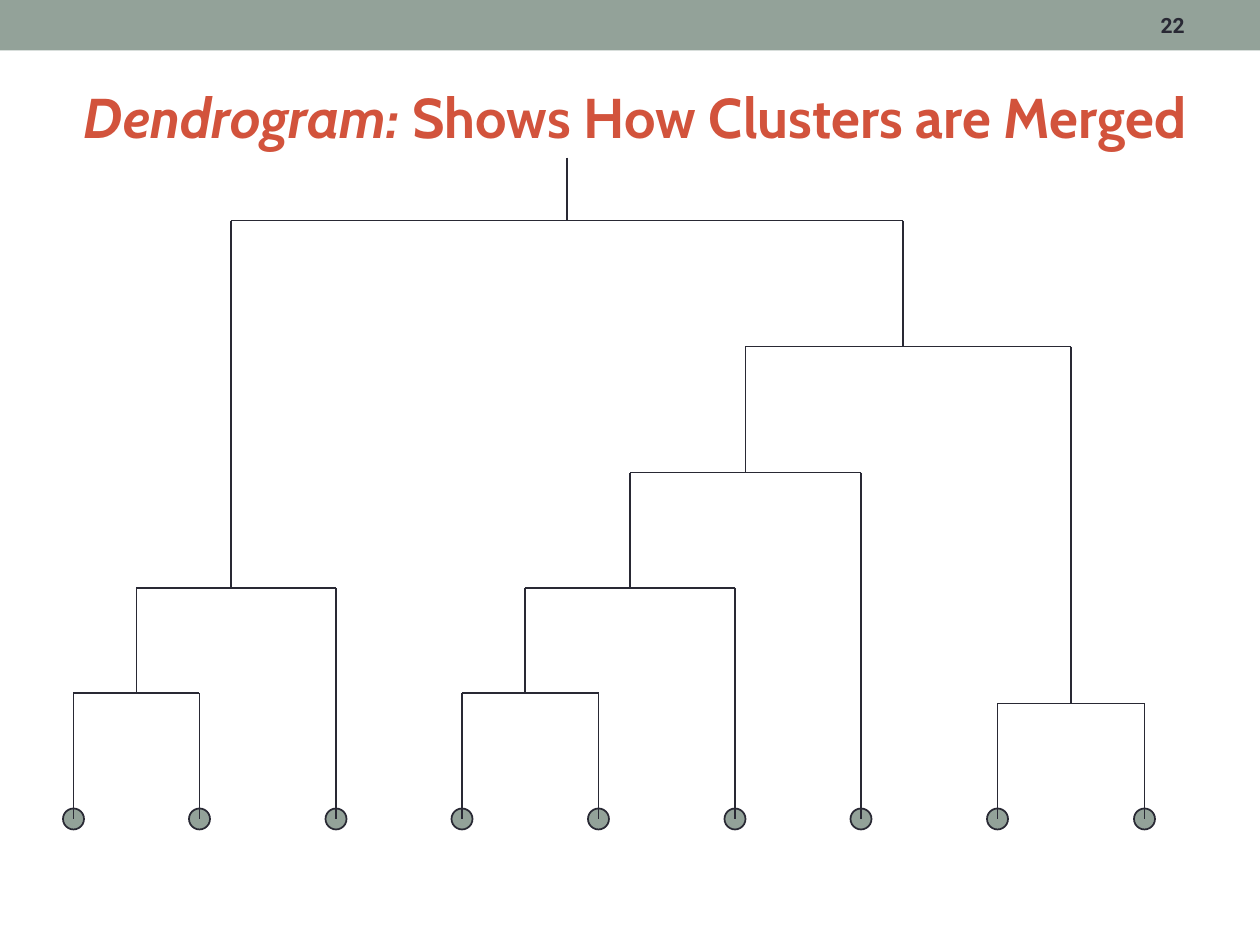
import pptx
import pptx.util
import pptx.dml.color
import pptx.enum.shapes
import pptx.enum.text
import pptx.oxml.ns
import lxml.etree

PX = 7620  # EMU per px, 120 px to the inch
SAGE, INK, RUST = "93A299", "292934", "D2533C"
SHAPES = pptx.enum.shapes.MSO_SHAPE
ALIGN = pptx.enum.text.PP_ALIGN
ANCHOR = pptx.enum.text.MSO_ANCHOR

# Leaf positions along the baseline, relative to the dendrogram's box
LEAVES = [10, 130, 260, 380, 510, 640, 760, 890, 1030]
BASELINE = 630
# Each merge: height of its bar, then the x and lower end of both branches
MERGES = [
    (510, (10, BASELINE), (130, BASELINE)),
    (410, (70, 510), (260, BASELINE)),
    (510, (380, BASELINE), (510, BASELINE)),
    (410, (440, 510), (640, BASELINE)),
    (300, (540, 410), (760, BASELINE)),
    (520, (890, BASELINE), (1030, BASELINE)),
    (180, (650, 300), (960, 520)),
    (60, (160, 410), (800, 180)),
]
ROOT_X = 480


def px(length):
    return pptx.util.Emu(length * PX)


def colour(value):
    return pptx.dml.color.RGBColor.from_string(value)


def add_text(slide, box, runs, font, size, fill, align, anchor):
    """Place one bold paragraph; runs are (text, italic) pairs."""
    frame = slide.shapes.add_textbox(*map(px, box)).text_frame
    frame.word_wrap = True
    frame.vertical_anchor = anchor
    paragraph = frame.paragraphs[0]
    paragraph.alignment = align
    for text, italic in runs:
        run = paragraph.add_run()
        run.text = text
        run.font.name = font
        run.font.size = pptx.util.Pt(size)
        run.font.color.rgb = colour(fill)
        run.font.bold = True
        run.font.italic = italic


def add_filled(slide, preset, box, fill, outline=None):
    shape = slide.shapes.add_shape(preset, *map(px, box))
    shape.shadow.inherit = False
    shape.fill.solid()
    shape.fill.fore_color.rgb = colour(fill)
    if outline:
        shape.line.color.rgb = colour(outline)
        shape.line.width = pptx.util.Pt(1)
    else:
        shape.line.fill.background()


def add_branch(slide, x1, y1, x2, y2):
    branch = slide.shapes.add_connector(
        pptx.enum.shapes.MSO_CONNECTOR.STRAIGHT, px(x1), px(y1), px(x2), px(y2))
    branch.line.color.rgb = colour(INK)
    branch.line.width = pptx.util.Pt(1)
    lxml.etree.SubElement(branch._element.spPr, pptx.oxml.ns.qn("a:effectLst"))


def add_header(slide, left, top, width, height):
    # Band with the page number near its right end
    add_filled(slide, SHAPES.RECTANGLE, (left, top, width, height), SAGE)
    add_text(slide, (left + width - 200, top + 2, 140, height - 4), [("22", False)],
             font="Roboto", size=12, fill=INK, align=ALIGN.RIGHT, anchor=ANCHOR.MIDDLE)


def add_title(slide, left, top, width, height):
    add_text(slide, (left, top, width, height),
             [("Dendrogram:", True), (" Shows How Clusters are Merged", False)],
             font="Cabin", size=32, fill=RUST, align=ALIGN.CENTER, anchor=ANCHOR.TOP)


def add_dendrogram(slide, left, top):
    # Leaves
    radius = 10
    for x in LEAVES:
        add_filled(slide, SHAPES.OVAL,
                   (left + x - radius, top + BASELINE - radius, 2 * radius, 2 * radius),
                   SAGE, INK)
    # Merges: a bar and a branch down from each end
    for bar, *ends in MERGES:
        add_branch(slide, left + ends[0][0], top + bar, left + ends[1][0], top + bar)
        for x, bottom in ends:
            add_branch(slide, left + x, top + bar, left + x, top + bottom)
    # Root stem
    add_branch(slide, left + ROOT_X, top, left + ROOT_X, top + MERGES[-1][0])


def main():
    deck = pptx.Presentation()
    deck.slide_width, deck.slide_height = px(1200), px(900)
    slide = deck.slides.add_slide(deck.slide_layouts[6])
    add_header(slide, 0, 0, 1200, 48)
    add_dendrogram(slide, 60, 150)
    add_title(slide, 30, 73, 1150, 76)
    deck.save("out.pptx")


if __name__ == "__main__":
    main()
